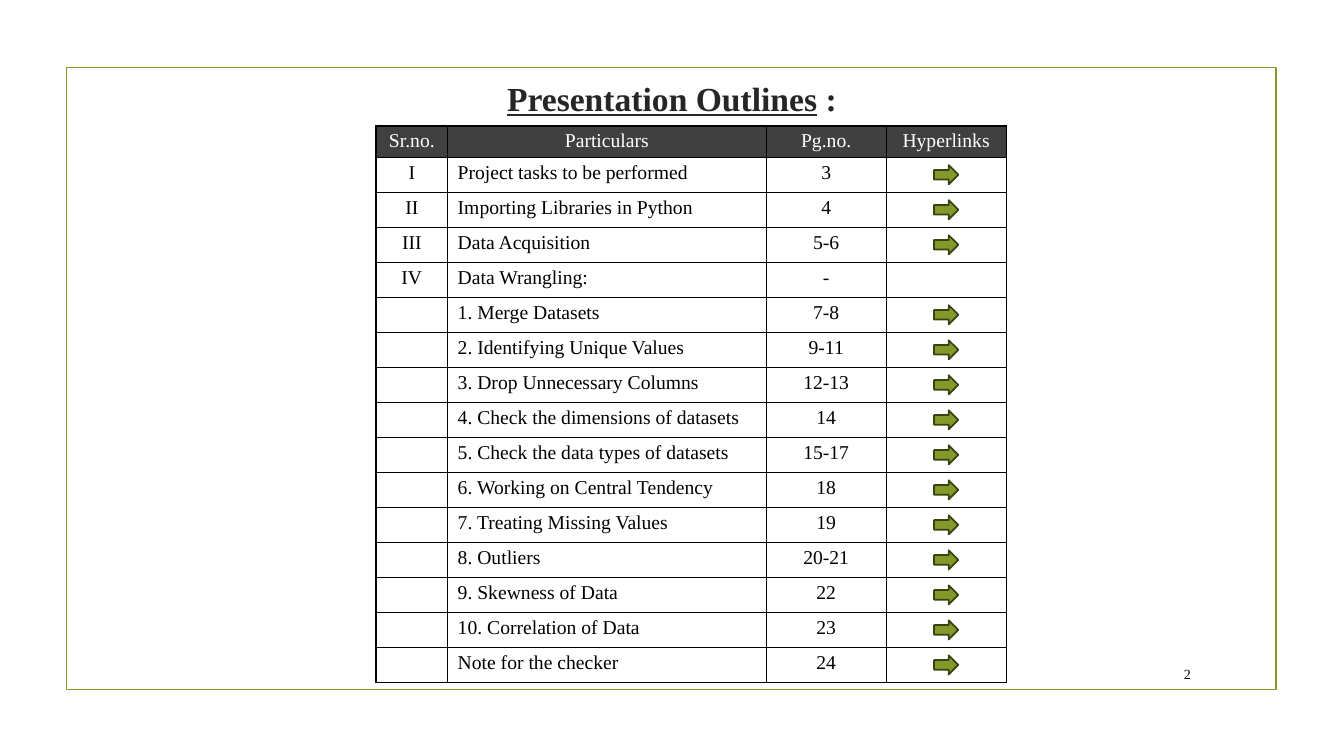
from lxml.etree import SubElement
from pptx import Presentation
from pptx.dml.color import RGBColor
from pptx.enum.shapes import MSO_SHAPE
from pptx.enum.text import MSO_ANCHOR, PP_ALIGN
from pptx.oxml.ns import qn
from pptx.util import Inches, Pt

FONT = "Times New Roman"
GREEN = RGBColor(0x83, 0x99, 0x2A)
DARK_GREEN = RGBColor(0x39, 0x43, 0x12)
INK = RGBColor(0x26, 0x26, 0x26)
GRAY = RGBColor(0x40, 0x40, 0x40)
BLACK = RGBColor(0, 0, 0)
WHITE = RGBColor(255, 255, 255)

HEADER = ("Sr.no.", "Particulars", "Pg.no.", "Hyperlinks")
TOPICS = [
    ("I", "Project tasks to be performed", "3"),
    ("II", "Importing Libraries in Python", "4"),
    ("III", "Data Acquisition", "5-6"),
    ("IV", "Data Wrangling:", "-"),
    ("", "1. Merge Datasets", "7-8"),
    ("", "2. Identifying Unique Values", "9-11"),
    ("", "3. Drop Unnecessary Columns", "12-13"),
    ("", "4. Check the dimensions of datasets", "14"),
    ("", "5. Check the data types of datasets", "15-17"),
    ("", "6. Working on Central Tendency", "18"),
    ("", "7. Treating Missing Values", "19"),
    ("", "8. Outliers", "20-21"),
    ("", "9. Skewness of Data", "22"),
    ("", "10. Correlation of Data", "23"),
    ("", "Note for the checker", "24"),
]
WIDTHS = (0.71, 3.16, 1.19, 1.19)
HEAD_H = 0.31


def add_run(para, text, size, color):
    run = para.add_run()
    run.text = text
    run.font.name = FONT
    run.font.size = Pt(size)
    run.font.color.rgb = color
    return run


def add_frame(slide, x, y, w, h):
    frame = slide.shapes.add_shape(
        MSO_SHAPE.RECTANGLE, Inches(x), Inches(y), Inches(w), Inches(h))
    frame.shadow.inherit = False
    frame.fill.background()
    frame.line.color.rgb = GREEN
    frame.line.width = Pt(1.25)


def set_title(slide, x, y, w, h):
    title = slide.shapes.title
    title.left, title.top = Inches(x), Inches(y)
    title.width, title.height = Inches(w), Inches(h)
    title.text_frame.vertical_anchor = MSO_ANCHOR.MIDDLE
    para = title.text_frame.paragraphs[0]
    para.alignment = PP_ALIGN.CENTER
    for text, lined in (("Presentation Outlines", True), (" :", False)):
        run = add_run(para, text, 24, INK)
        run.font.bold = True
        run.font.underline = lined


def add_borders(cell):
    props = cell._tc.get_or_add_tcPr()
    for side in ("a:lnL", "a:lnR", "a:lnT", "a:lnB"):
        line = SubElement(props, qn(side), w=str(Pt(1)))
        fill = SubElement(line, qn("a:solidFill"))
        SubElement(fill, qn("a:srgbClr"), val=str(BLACK))


def fill_cell(cell, text, color, align):
    add_borders(cell)
    cell.margin_top = cell.margin_bottom = Inches(0.04)
    para = cell.text_frame.paragraphs[0]
    para.alignment = align
    if text:
        add_run(para, text, 14, color)
    else:
        # An empty cell needs its own text size to keep the row low.
        SubElement(para._p, qn("a:endParaRPr"), sz="1400")


def add_arrow(slide, mid_x, mid_y):
    w, h = 0.24, 0.19
    arrow = slide.shapes.add_shape(
        MSO_SHAPE.RIGHT_ARROW, Inches(mid_x - w / 2), Inches(mid_y - h / 2),
        Inches(w), Inches(h))
    arrow.shadow.inherit = False
    arrow.fill.solid()
    arrow.fill.fore_color.rgb = GREEN
    arrow.line.color.rgb = DARK_GREEN
    arrow.line.width = Pt(1.25)


def add_outline(slide, x, y, w, h):
    """Place the table of topics, with an arrow in each row that has pages."""
    table = slide.shapes.add_table(
        len(TOPICS) + 1, len(HEADER),
        Inches(x), Inches(y), Inches(w), Inches(h)).table
    table.first_row = table.horz_banding = False
    for col, width in zip(table.columns, WIDTHS):
        col.width = Inches(width)
    row_h = (h - HEAD_H) / len(TOPICS)
    table.rows[0].height = Inches(HEAD_H)
    for cell, text in zip(table.rows[0].cells, HEADER):
        fill_cell(cell, text, WHITE, PP_ALIGN.CENTER)
        cell.fill.solid()
        cell.fill.fore_color.rgb = GRAY

    arrow_x = x + w - WIDTHS[-1] / 2
    for i, topic in enumerate(TOPICS):
        row = table.rows[i + 1]
        row.height = Inches(row_h)
        for j, text in enumerate(topic + ("",)):
            cell = row.cells[j]
            align = PP_ALIGN.LEFT if j == 1 else PP_ALIGN.CENTER
            fill_cell(cell, text, BLACK, align)
            cell.margin_top = Inches(0.05)
            cell.fill.background()
        if topic[2] != "-":
            add_arrow(slide, arrow_x, y + HEAD_H + (i + 0.5) * row_h)


def add_number(slide, x, y, w, h):
    box = slide.shapes.add_textbox(Inches(x), Inches(y), Inches(w), Inches(h))
    box.text_frame.word_wrap = True
    box.text_frame.vertical_anchor = MSO_ANCHOR.MIDDLE
    para = box.text_frame.paragraphs[0]
    para.alignment = PP_ALIGN.RIGHT
    add_run(para, "2", 10, BLACK)


def main():
    prs = Presentation()
    prs.slide_width, prs.slide_height = Inches(13.33), Inches(7.5)
    slide = prs.slides.add_slide(prs.slide_layouts[5])
    add_frame(slide, 0.66, 0.67, 12, 6.17)
    set_title(slide, 0.74, 0.71, 11.85, 0.52)
    add_outline(slide, 3.73, 1.25, sum(WIDTHS), 5.52)
    add_number(slide, 11.32, 6.53, 0.59, 0.31)
    prs.save("out.pptx")


if __name__ == "__main__":
    main()
